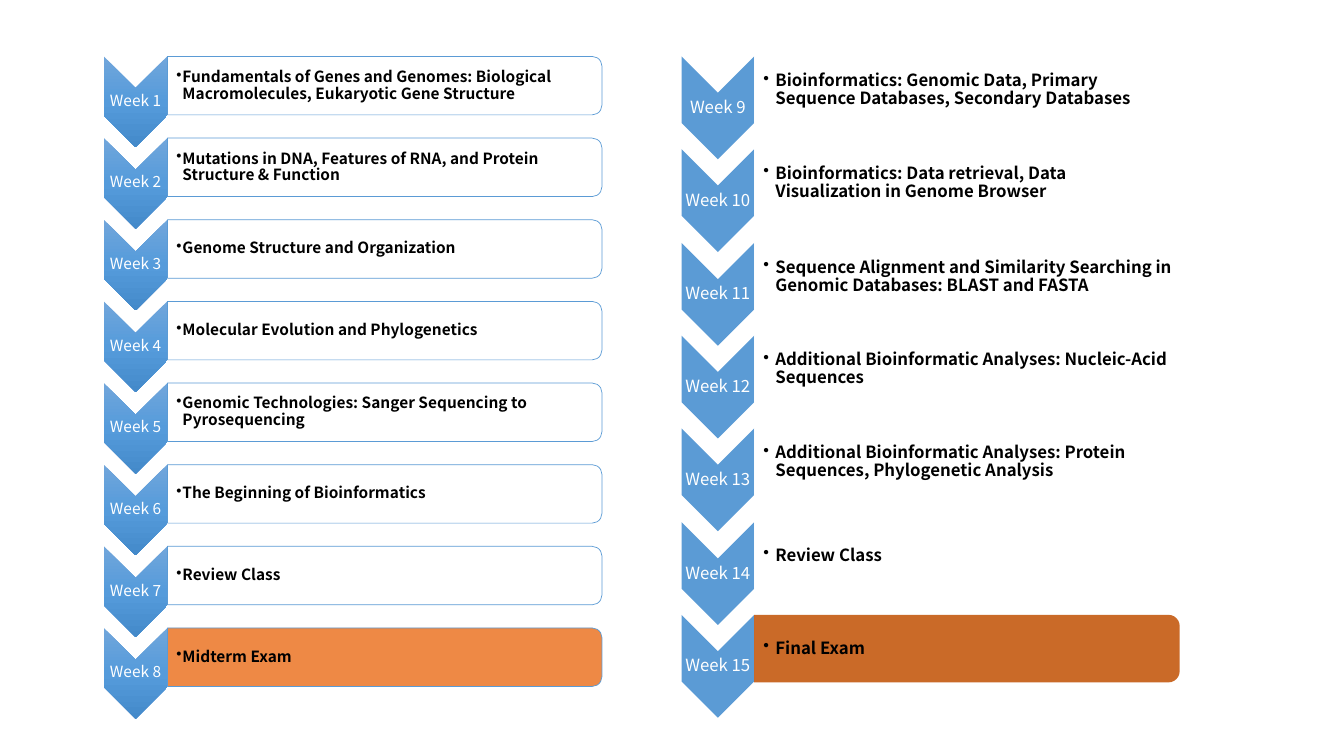
"""Build a two-column course schedule slide of weekly chevrons and topics."""
from dataclasses import dataclass

from lxml import etree
from pptx import Presentation
from pptx.dml.color import RGBColor
from pptx.enum.shapes import MSO_SHAPE as Shape
from pptx.enum.text import MSO_ANCHOR as Anchor, PP_ALIGN as Align
from pptx.oxml import parse_xml
from pptx.oxml.ns import nsdecls, qn
from pptx.util import Pt

EMU_PER_PX = 9144


@dataclass(frozen=True)
class Theme:
    font: str = "Noto Sans CJK KR"
    blue: str = "5B9BD5"
    white: str = "FFFFFF"
    black: str = "000000"
    midterm: str = "ED7D31"
    final: str = "C55A11"
    shading: tuple[str, ...] = ("71A6DB", "559BDB", "448ACA")
    panel_opacity: int = 90
    small: int = 11
    medium: int = 12


T = Theme()


@dataclass(frozen=True)
class Box:
    x: int
    y: int
    w: int
    h: int


@dataclass(frozen=True)
class Column:
    first_week: int
    topics: tuple[str, ...]
    x: int
    last_top: int
    chevron_w: int
    chevron_h: int
    panel_w: int
    panel_h: int
    size: int
    hang: int
    exam_color: str
    shaded: bool
    outlined: bool
    first_top: int = 56


COLUMNS = (
    Column(9, (
        "Bioinformatics: Genomic Data, Primary Sequence Databases, Secondary Databases",
        "Bioinformatics: Data retrieval, Data Visualization in Genome Browser",
        "Sequence Alignment and Similarity Searching in Genomic Databases: BLAST and FASTA",
        "Additional Bioinformatic Analyses: Nucleic-Acid Sequences",
        "Additional Bioinformatic Analyses: Protein Sequences, Phylogenetic Analysis",
        "Review Class",
        "Final Exam",
    ), x=676, last_top=610, chevron_w=72, chevron_h=102, panel_w=422, panel_h=67,
        size=T.medium, hang=12, exam_color=T.final, shaded=False, outlined=False),
    Column(1, (
        "Fundamentals of Genes and Genomes: Biological Macromolecules, Eukaryotic Gene Structure",
        "Mutations in DNA, Features of RNA, and Protein Structure & Function",
        "Genome Structure and Organization",
        "Molecular Evolution and Phylogenetics",
        "Genomic Technologies: Sanger Sequencing to Pyrosequencing",
        "The Beginning of Bioinformatics",
        "Review Class",
        "Midterm Exam",
    ), x=103, last_top=623, chevron_w=63, chevron_h=90, panel_w=431, panel_h=58,
        size=T.small, hang=6, exam_color=T.midterm, shaded=True, outlined=True),
)


def px(length: float) -> int:
    """Turn px into EMU."""
    return round(length * EMU_PER_PX)


def add_turned_shape(shapes, kind: Shape, box: Box, color: str):
    """Add a filled shape, turned a quarter clockwise, that covers the box."""
    shift = (box.w - box.h) / 2
    sp = shapes.add_shape(kind, px(box.x + shift), px(box.y - shift), px(box.h), px(box.w))
    sp.rotation = 90
    sp.shadow.inherit = False
    sp.fill.solid()
    sp.fill.fore_color.rgb = RGBColor.from_string(color)
    sp.line.fill.background()
    return sp


def shade(sp) -> None:
    """Replace the solid fill by the downward gradient."""
    stops = "".join(
        f'<a:gs pos="{i * 50000}"><a:srgbClr val="{color}"/></a:gs>'
        for i, color in enumerate(T.shading))
    gradient = parse_xml(
        f'<a:gradFill {nsdecls("a")} rotWithShape="0"><a:gsLst>{stops}</a:gsLst>'
        '<a:lin ang="5400000" scaled="0"/></a:gradFill>')
    pr = sp.element.spPr
    pr.replace(pr.find(qn("a:solidFill")), gradient)


def add_text(shapes, text: str, box: Box, *, size: int, color: str, bold: bool = False,
             align: Align = Align.LEFT, inset: int = 1, hang: int = 0) -> None:
    """Add a middle-anchored text box, bulleted when a hanging indent is given."""
    tf = shapes.add_textbox(px(box.x), px(box.y), px(box.w), px(box.h)).text_frame
    tf.word_wrap = True
    tf.vertical_anchor = Anchor.MIDDLE
    tf.margin_left = px(inset)
    tf.margin_top = tf.margin_right = tf.margin_bottom = px(1)
    p = tf.paragraphs[0]
    if hang:
        pr = p._p.get_or_add_pPr()
        pr.set("marL", str(px(hang)))
        pr.set("indent", str(-px(hang)))
        etree.SubElement(pr, qn("a:buChar")).set("char", "•")
        p.level = 1
    p.alignment = align
    p.line_spacing = 0.9
    r = p.add_run()
    r.text = text
    r.font.name = T.font
    r.font.size = Pt(size)
    r.font.bold = bold
    r.font.color.rgb = RGBColor.from_string(color)


def add_week(shapes, col: Column, index: int) -> None:
    """Draw one chevron with its week label, topic panel and topic."""
    last = len(col.topics) - 1
    top = col.first_top + round(index * (col.last_top - col.first_top) / last)
    w, h = col.chevron_w, col.chevron_h
    chevron = add_turned_shape(shapes, Shape.CHEVRON, Box(col.x, top, w, h), T.blue)
    if col.shaded:
        shade(chevron)
    add_text(shapes, f"Week {col.first_week + index}", Box(col.x, top + w // 2, w, h - w),
             size=col.size, color=T.white, align=Align.CENTER)

    panel_x = col.x + w
    panel = add_turned_shape(shapes, Shape.ROUND_2_SAME_RECTANGLE,
                             Box(panel_x, top, col.panel_w, col.panel_h),
                             col.exam_color if index == last else T.white)
    color = panel.element.spPr.find(qn("a:solidFill"))[0]
    etree.SubElement(color, qn("a:alpha")).set("val", str(T.panel_opacity * 1000))
    if col.outlined:
        panel.line.color.rgb = RGBColor.from_string(T.blue)
        panel.line.width = Pt(0.5)
    add_text(shapes, col.topics[index],
             Box(panel_x, top + 3, col.panel_w - 3, col.panel_h - 6),
             size=col.size, color=T.black, bold=True, inset=9, hang=col.hang)


def main() -> None:
    """Build and save the slide."""
    prs = Presentation()
    prs.slide_width, prs.slide_height = px(1333), px(750)
    slide = prs.slides.add_slide(prs.slide_layouts[6])
    for col in COLUMNS:
        group = slide.shapes.add_group_shape()
        for index in range(len(col.topics)):
            add_week(group.shapes, col, index)
    prs.save("out.pptx")


if __name__ == "__main__":
    main()
